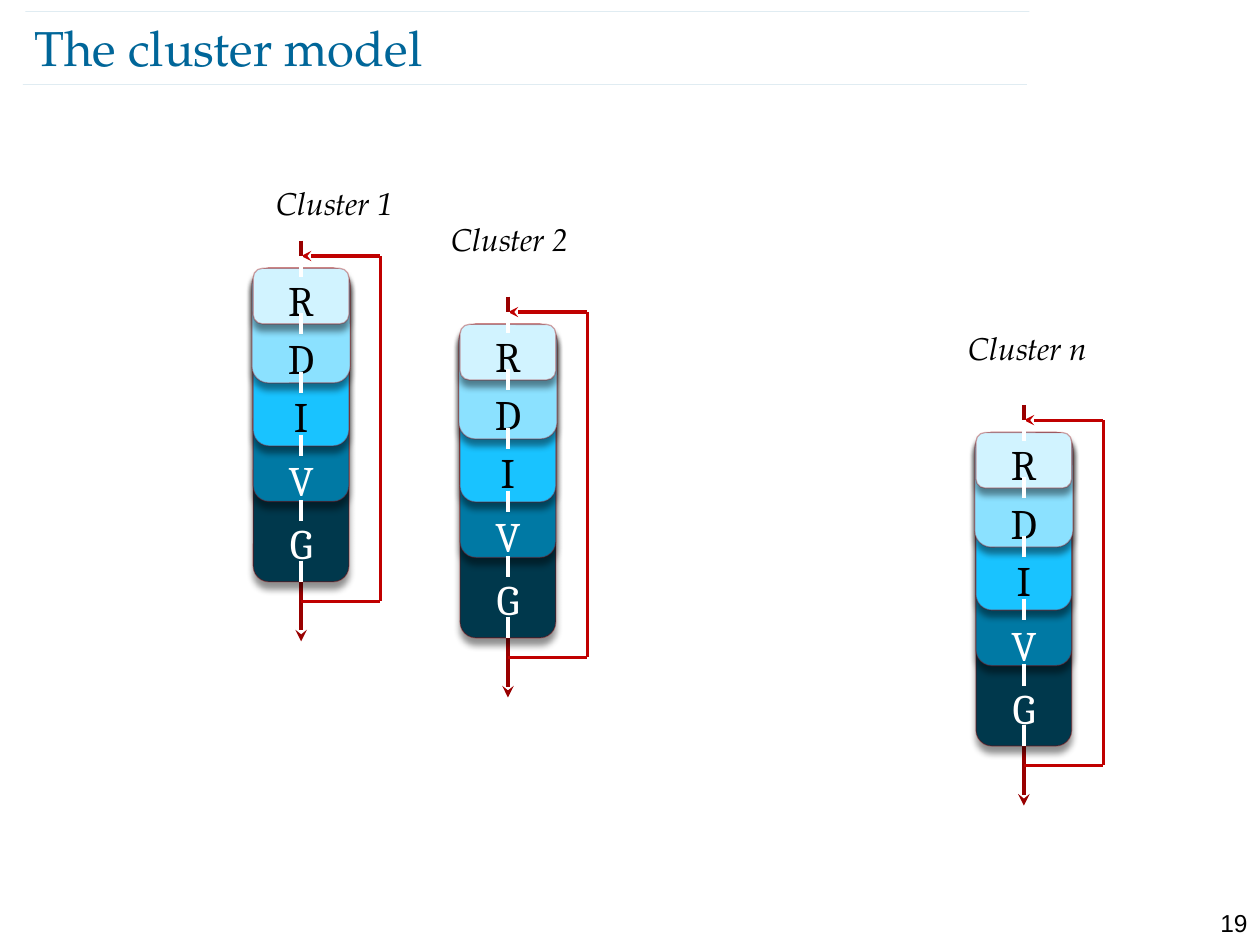
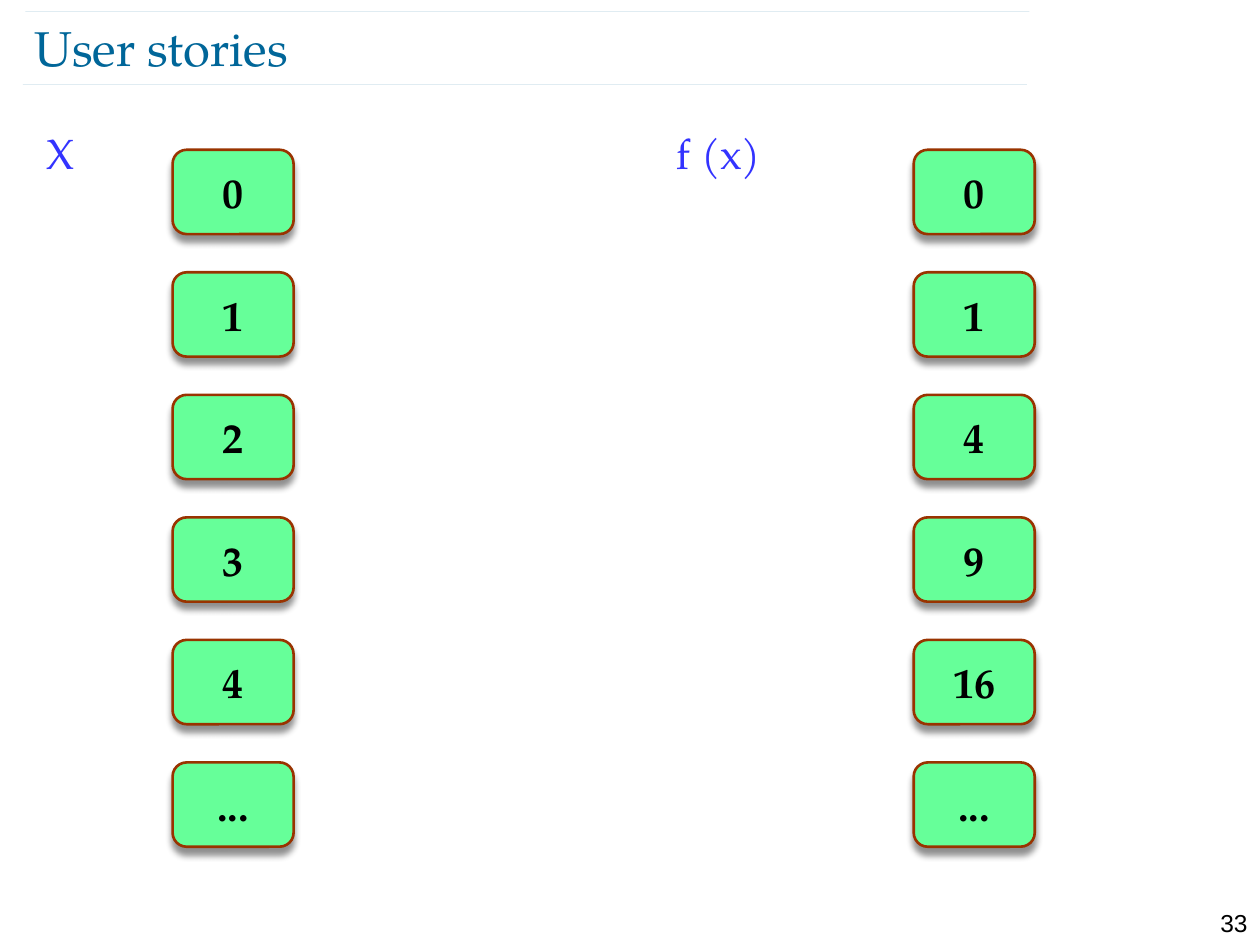
"""Builds two lecture slides: the cluster model and the user stories."""
from dataclasses import dataclass

from lxml import etree
from pptx import Presentation
from pptx import util as u
from pptx.dml.color import RGBColor
from pptx.enum import shapes, text
from pptx.oxml import ns


@dataclass(frozen=True)
class Theme:
    serif: str = "TeX Gyre Pagella"
    letter: str = "Cambria"
    sans: str = "Arial"
    title_size: int = 28
    body_size: int = 24
    label_size: int = 18
    number_size: int = 14
    title: str = "006699"
    heading: str = "3333FF"
    dark: str = "000000"
    light: str = "FFFFFF"
    axis: str = "990000"
    loop: str = "C00000"
    card: str = "66FF99"
    card_line: str = "993300"


THEME = Theme()

BANDS = [
    ("G", "00384C", THEME.light, 1.93, 6.32, 5.03),
    ("V", "0079A4", THEME.light, 1.93, 4.70, 3.76),
    ("I", "19C3FF", THEME.dark, 1.93, 3.58, 2.46),
    ("D", "8BE1FF", THEME.dark, 1.98, 2.31, 1.30),
    ("R", "D1F3FF", THEME.dark, 1.93, 1.12, 0.12),
]
TICK_STARTS = [-0.25, 0.89, 2.08, 3.35, 4.67, 5.89]
TICK_LENGTH = 0.43
CLUSTERS = [
    ("Cluster 1", 5.33, 3.58, 6.07, 5.41),
    ("Cluster 2", 8.86, 4.32, 10.24, 6.54),
    ("Cluster n", 19.28, 6.50, 20.64, 8.72),
]
CARD_COLUMNS = [
    (3.48, ["0", "1", "2", "3", "4", "..."]),
    (18.42, ["0", "1", "4", "9", "16", "..."]),
]


def apply(target, formats):
    for name, value in formats.items():
        setattr(target, name, value)


def add_xml(parent, tag, **attributes):
    return etree.SubElement(parent, ns.qn(tag), attributes)


def write(frame, words, color, size, font=THEME.serif, inset=0, wrap=True,
          anchor=text.MSO_ANCHOR.TOP, align=text.PP_ALIGN.LEFT, **style):
    side, edge = u.Cm(inset), u.Cm(inset / 2)
    apply(frame, {"word_wrap": wrap, "vertical_anchor": anchor,
                  "margin_left": side, "margin_right": side,
                  "margin_top": edge, "margin_bottom": edge})
    para = frame.paragraphs[0]
    para.alignment = align
    span = para.add_run()
    span.text = words
    apply(span.font, {"name": font, "size": u.Pt(size), **style})
    span.font.color.rgb = RGBColor.from_string(color)
    return para


def add_text(page, left, top, width, height, words, color, size, **formats):
    box = page.shapes.add_textbox(*map(u.Cm, (left, top, width, height)))
    return write(box.text_frame, words, color, size, **formats)


def set_line(line, color, width, opacity=100):
    line.color.rgb = RGBColor.from_string(color)
    line.width = u.Pt(width)
    if opacity < 100:
        paint = line._ln.find(".//" + ns.qn("a:srgbClr"))
        add_xml(paint, "a:alpha", val=str(opacity * 1000))


def add_line(page, start, end, color, width, opacity=100, arrow=False):
    line = page.shapes.add_connector(
        shapes.MSO_CONNECTOR.STRAIGHT, *map(u.Cm, (*start, *end)))
    set_line(line.line, color, width, opacity)
    if arrow:
        add_xml(line.line._ln, "a:tailEnd", type="stealth")
    add_xml(line._element.spPr, "a:effectLst")
    return line


def add_block(page, left, top, width, height, fill, line_color, line_width,
              opacity=100):
    block = page.shapes.add_shape(shapes.MSO_SHAPE.ROUNDED_RECTANGLE,
                                  *map(u.Cm, (left, top, width, height)))
    block.fill.solid()
    block.fill.fore_color.rgb = RGBColor.from_string(fill)
    set_line(block.line, line_color, line_width, opacity)
    block.shadow.inherit = False
    effects = block._element.spPr.find(ns.qn("a:effectLst"))
    distance = str(u.Pt(4))
    shadow = add_xml(effects, "a:outerShdw", blurRad=distance, dist=distance,
                     dir="5400000", rotWithShape="0")
    paint = add_xml(shadow, "a:srgbClr", val=THEME.dark)
    add_xml(paint, "a:alpha", val="43000")
    return block


def add_page(deck, title, number):
    page = deck.slides.add_slide(deck.slide_layouts[6])
    for left, top in [(0.46, 1.70), (0.51, 0.23)]:
        add_line(page, (left, top), (left + 20.24, top), THEME.title, 0.1, 35)
    add_text(page, 0.69, 0.33, 22.07, 1.22, title, THEME.title,
             THEME.title_size, anchor=text.MSO_ANCHOR.MIDDLE)
    add_text(page, 24, 18.19, 1.4, 0.61, number, THEME.dark,
             THEME.number_size, font=THEME.sans, inset=0.25,
             align=text.PP_ALIGN.RIGHT)
    return page


def add_cluster(page, label, label_left, label_top, axis, top):
    add_text(page, label_left, label_top, 3.28, 1.02, label, THEME.dark,
             THEME.label_size, inset=0.25, italic=True)
    add_line(page, (axis, top - 0.56), (axis, top + 7.52), THEME.axis, 2.25,
             arrow=True)
    blocks = []
    for letter, fill, color, width, height, letter_top in BANDS:
        blocks.append(add_block(page, axis - width / 2, top, width, height,
                                fill, THEME.axis, 0.75, 34))
        add_text(page, axis - 0.92, top + letter_top, 1.84, 0.89, letter,
                 color, THEME.body_size, font=THEME.letter,
                 align=text.PP_ALIGN.CENTER)
    corners = [(axis, top + 6.71), (axis + 1.6, top + 6.71),
               (axis + 1.6, top - 0.25), (axis, top - 0.25)]
    for start, end in zip(corners, corners[1:]):
        add_line(page, start, end, THEME.loop, 1.75, arrow=end == corners[-1])
    for start in TICK_STARTS:
        tick = add_line(page, (axis, top + start),
                        (axis, top + start + TICK_LENGTH), THEME.light, 2.25)
    tick.end_connect(blocks[0], 2)


def add_headings(page):
    para = add_text(page, 0.69, 2.44, 23.88, 1.5, "X\tf (x)", THEME.heading,
                    THEME.body_size, inset=0.25)
    para.space_before = u.Pt(6)
    tabs = add_xml(para._p.get_or_add_pPr(), "a:tabLst")
    add_xml(tabs, "a:tab", pos=str(u.Cm(12.7)), algn="l")


def add_cards(page, left, values):
    for row, value in enumerate(values):
        card = add_block(page, left, 3.02 + row * 2.47, 2.44, 1.7,
                         THEME.card, THEME.card_line, 1.5)
        write(card.text_frame, value, THEME.dark, THEME.body_size, bold=True,
              wrap=False, anchor=text.MSO_ANCHOR.MIDDLE,
              align=text.PP_ALIGN.CENTER)


def main():
    deck = Presentation()
    apply(deck, {"slide_width": u.Cm(25.4), "slide_height": u.Cm(19.05)})
    model = add_page(deck, "The cluster model", "19")
    for cluster in CLUSTERS:
        add_cluster(model, *cluster)
    stories = add_page(deck, "User stories", "33")
    add_headings(stories)
    for left, values in CARD_COLUMNS:
        add_cards(stories, left, values)
    deck.save("out.pptx")


if __name__ == "__main__":
    main()
